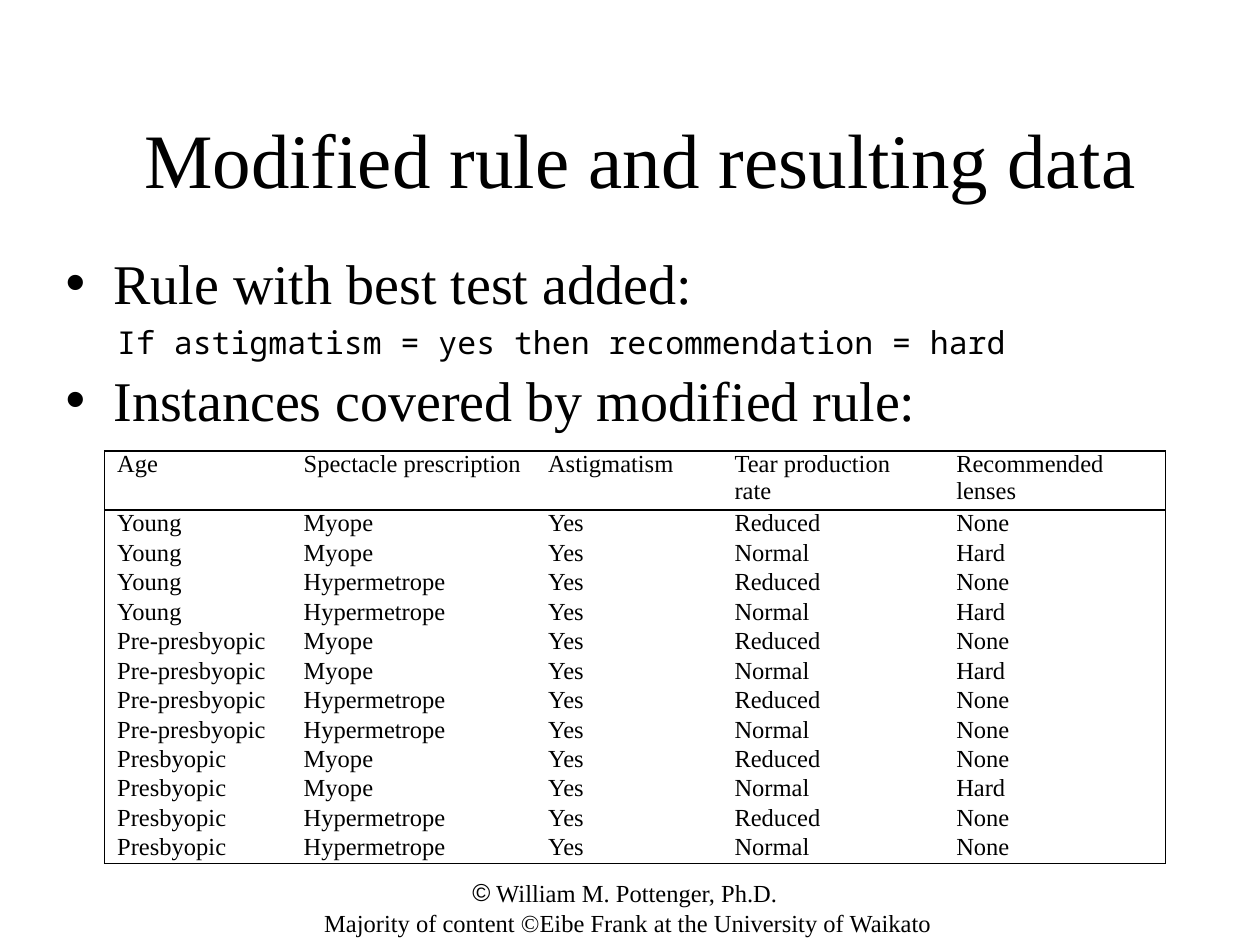
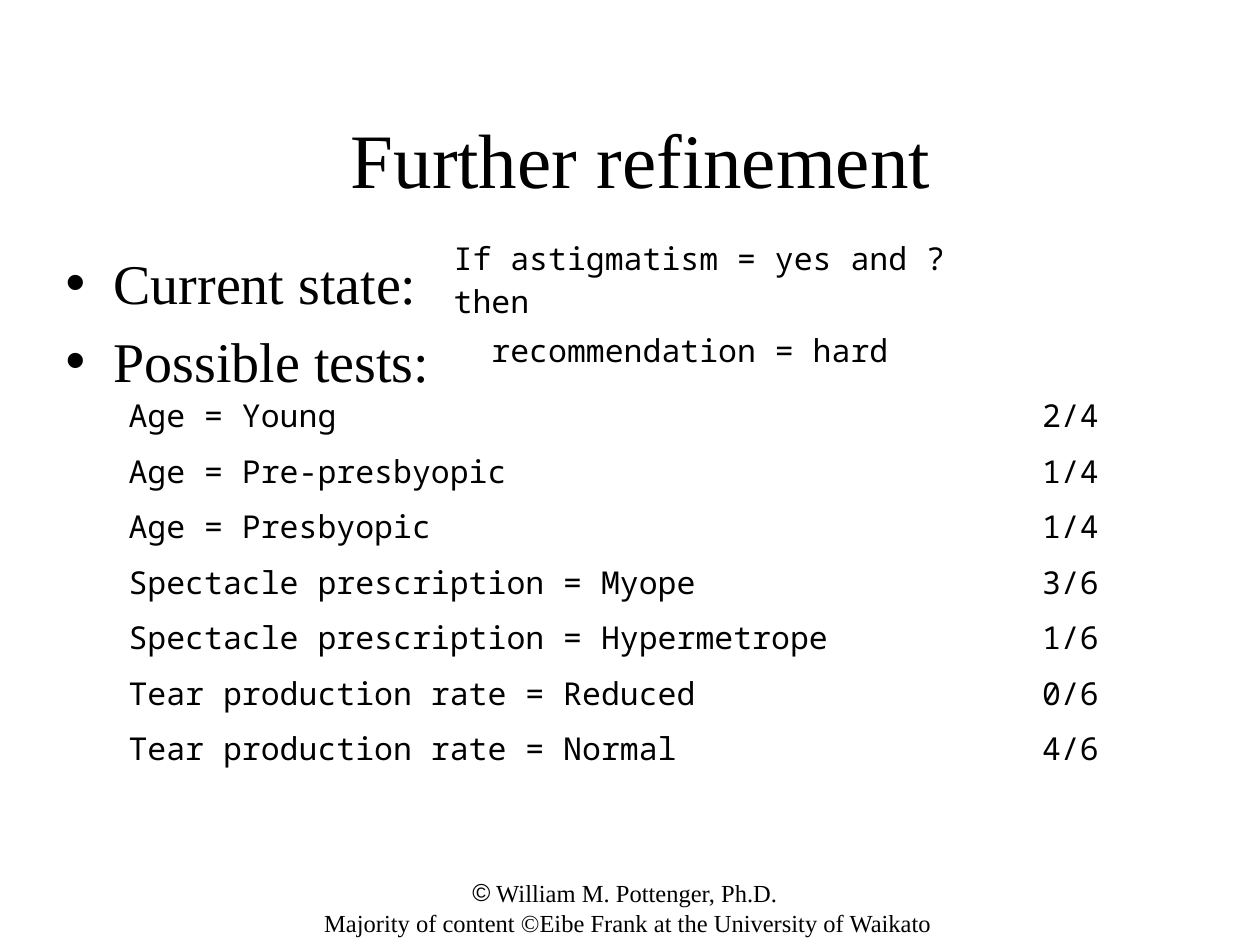
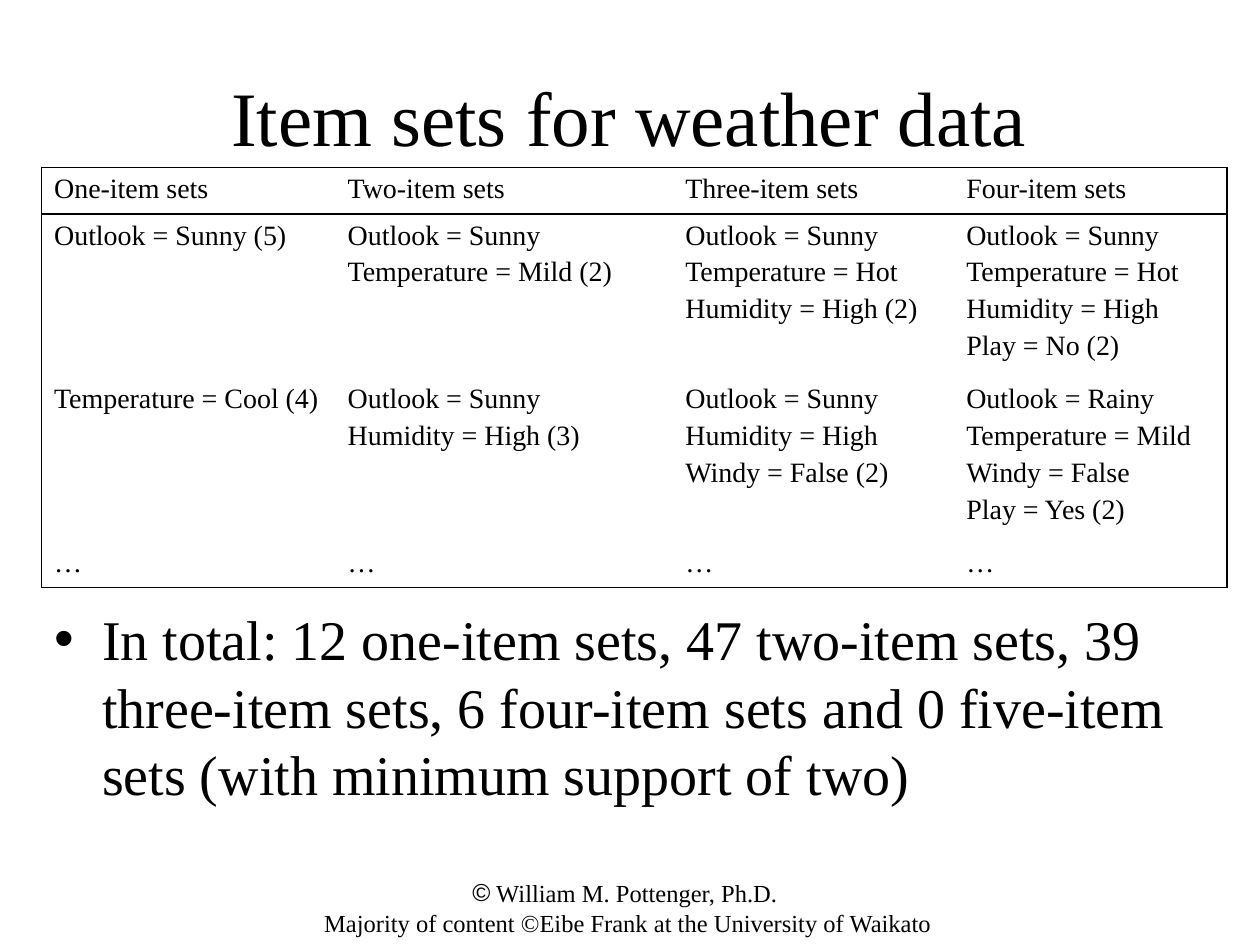
"""Builds three slides on rule refinement and item sets."""
import itertools

import pptx
import pptx.dml.color
import pptx.enum.text
import pptx.oxml.ns
import pptx.util
from lxml import etree
from pptx.util import Inches

SERIF = "Times New Roman"
MONO = "Noto Sans Mono"
INK = "000000"
ALIGN = pptx.enum.text.PP_ALIGN
ANCHOR = pptx.enum.text.MSO_ANCHOR
FOOTER = " William M. Pottenger, Ph.D.\n Majority of content ©Eibe Frank at the University of Waikato"

AGES = ["Young", "Pre-presbyopic", "Presbyopic"]
SIGHTS = ["Myope", "Hypermetrope"]
RATES = ["Reduced", "Normal"]
LENSES = ["None", "Hard", "None", "Hard", "None", "Hard",
          "None", "None", "None", "Hard", "None", "None"]
HEADS = ["Age", "Spectacle prescription", "Astigmatism",
         "Tear production rate", "Recommended lenses"]
TESTS = [
    ["Age = Young", "2/4"],
    ["Age = Pre-presbyopic", "1/4"],
    ["Age = Presbyopic", "1/4"],
    ["Spectacle prescription = Myope", "3/6"],
    ["Spectacle prescription = Hypermetrope", "1/6"],
    ["Tear production rate = Reduced", "0/6"],
    ["Tear production rate = Normal", "4/6"],
]
SETS = [
    ["One-item sets", "Two-item sets", "Three-item sets", "Four-item sets"],
    ["Outlook = Sunny (5)",
     "Outlook = Sunny\nTemperature = Mild (2)",
     "Outlook = Sunny\nTemperature = Hot\nHumidity = High (2)",
     "Outlook = Sunny\nTemperature = Hot\nHumidity = High\nPlay = No (2)"],
    ["Temperature = Cool (4)",
     "Outlook = Sunny\nHumidity = High (3)",
     "Outlook = Sunny\nHumidity = High\nWindy = False (2)",
     "Outlook = Rainy\nTemperature = Mild\nWindy = False\nPlay = Yes (2)"],
    ["…"] * 4,
]


def paint(color, value):
    """Set a colour from a hex string."""
    color.rgb = pptx.dml.color.RGBColor.from_string(value)


def add_node(parent, tag, **attrs):
    """Append a drawing element to a parent."""
    return etree.SubElement(parent, pptx.oxml.ns.qn(tag), **attrs)


def place(shape, left, top, width, height):
    """Move and size a shape in inches."""
    shape.left, shape.top = Inches(left), Inches(top)
    shape.width, shape.height = Inches(width), Inches(height)


def write(frame, text, size, font=SERIF, align=ALIGN.LEFT, gap=0):
    """Fill a text frame and format its runs."""
    frame.text = text
    for index, para in enumerate(frame.paragraphs):
        para.alignment = align
        para.space_before = pptx.util.Pt(gap if index else 0)
        for run in para.runs:
            run.font.size = pptx.util.Pt(size)
            run.font.name = font
            paint(run.font.color, INK)


def mark(para, char, indent=0.0):
    """Give a paragraph a bullet and a hanging indent."""
    props = para._p.get_or_add_pPr()
    props.set("marL", str(Inches(indent)))
    props.set("indent", str(-Inches(indent)))
    add_node(props, "a:buFont", typeface="Arial")
    add_node(props, "a:buChar", char=char)


def add_slide(deck, title, left=0.42, top=0.67):
    """Add a slide with its title and footer."""
    slide = deck.slides.add_slide(deck.slide_layouts[1])
    head = slide.shapes.title
    place(head, left, top, 9.33, 1.17)
    write(head.text_frame, title, 44, align=ALIGN.CENTER)
    head.text_frame.vertical_anchor = ANCHOR.MIDDLE
    head.text_frame.auto_size = pptx.enum.text.MSO_AUTO_SIZE.NONE
    foot = slide.shapes.add_textbox(Inches(2.25), Inches(6.92), Inches(5.42), Inches(0.33))
    foot.text_frame.word_wrap = True
    write(foot.text_frame, FOOTER, 14, align=ALIGN.CENTER)
    mark(foot.text_frame.paragraphs[0], "©")
    return slide


def fill_body(slide, items, box=(0.42, 1.92, 9.33, 4.75), gap=6.4):
    """Fill the body placeholder with a bulleted list."""
    body = slide.placeholders[1]
    place(body, *box)
    frame = body.text_frame
    write(frame, "\n".join(items), 32, gap=gap)
    frame.auto_size = pptx.enum.text.MSO_AUTO_SIZE.NONE
    frame.vertical_anchor = ANCHOR.TOP
    for para in frame.paragraphs:
        mark(para, "•", 0.38)


def edge(cell, sides):
    """Draw black lines on the named sides of a cell and clear the rest."""
    props = cell._tc.get_or_add_tcPr()
    for side in "LRTB":
        line = add_node(props, "a:ln" + side, w=str(pptx.util.Pt(1)))
        if side in sides:
            add_node(add_node(line, "a:solidFill"), "a:srgbClr", val=INK)
        else:
            add_node(line, "a:noFill")


def frame_sides(row, col, rows, cols):
    """Name the sides for an outer frame and a rule below the header."""
    return (("L" if col == 0 else "") + ("R" if col == cols - 1 else "")
            + ("T" if row < 2 else "") + ("B" if row in (0, rows - 1) else ""))


def add_grid(slide, left, top, widths, heights, data, size,
             font=SERIF, framed=False, pad=0.05):
    """Add a plain table, framed on request."""
    rows, cols = len(heights), len(widths)
    table = slide.shapes.add_table(rows, cols, Inches(left), Inches(top),
                                   Inches(sum(widths)), Inches(sum(heights))).table
    table.first_row = table.horz_banding = False
    for col, width in enumerate(widths):
        table.columns[col].width = Inches(width)
    for row, height in enumerate(heights):
        table.rows[row].height = Inches(height)
    for row, col in itertools.product(range(rows), range(cols)):
        cell = table.cell(row, col)
        edge(cell, frame_sides(row, col, rows, cols) if framed else "")
        cell.fill.background()
        cell.margin_top = cell.margin_bottom = Inches(pad)
        write(cell.text_frame, data[row][col], size, font, gap=size * 0.2)


def main():
    """Build and save the deck."""
    deck = pptx.Presentation()
    deck.slide_width, deck.slide_height = Inches(10), Inches(7.5)

    slide = add_slide(deck, "Modified rule and resulting data")
    fill_body(slide, ["Rule with best test added:",
                      "Instances covered by modified rule:"], gap=28.6)
    add_grid(slide, 0.83, 2.5, [8.17], [0.4],
             [["If astigmatism = yes then recommendation = hard"]], 18, MONO)
    cases = list(itertools.product(AGES, SIGHTS, RATES))
    data = [HEADS] + [[age, sight, "Yes", rate, lens]
                      for (age, sight, rate), lens in zip(cases, LENSES)]
    add_grid(slide, 0.83, 3.58, [1.48, 1.94, 1.48, 1.76, 1.76],
             [0.43] + [2.59 / len(cases)] * len(cases), data, 14, framed=True, pad=0)

    slide = add_slide(deck, "Further refinement")
    fill_body(slide, ["Current state:", "Possible tests:"])
    add_grid(slide, 0.92, 3.08, [7.25, 1.25], [0.44] * len(TESTS), TESTS, 18, MONO)
    add_grid(slide, 3.5, 1.83, [4.83], [0.76],
             [["If astigmatism = yes and ? then\n  recommendation = hard"]], 18, MONO)

    slide = add_slide(deck, "Item sets for weather data", 0.33, 0.33)
    add_grid(slide, 0.33, 1.33, [2.33, 2.68, 2.23, 2.17],
             [0.35, 1.22, 1.22, 0.35], SETS, 16, framed=True)
    fill_body(slide, ["In total: 12 one-item sets, 47 two-item sets, 39 three-item sets, "
                      "6 four-item sets and 0 five-item sets (with minimum support of two)"],
              (0.33, 4.75, 9.33, 1.75))

    deck.save("out.pptx")


if __name__ == "__main__":
    main()
